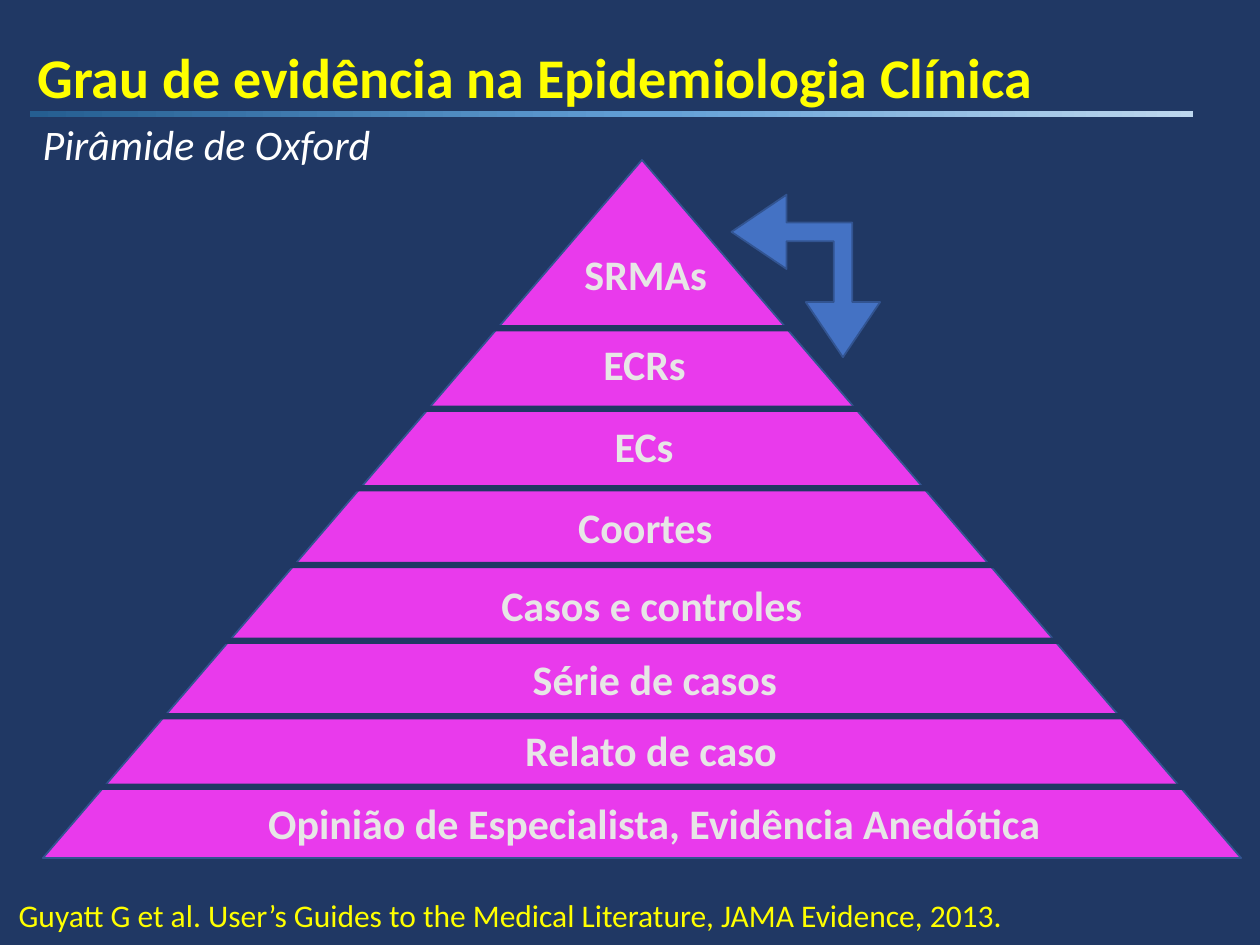
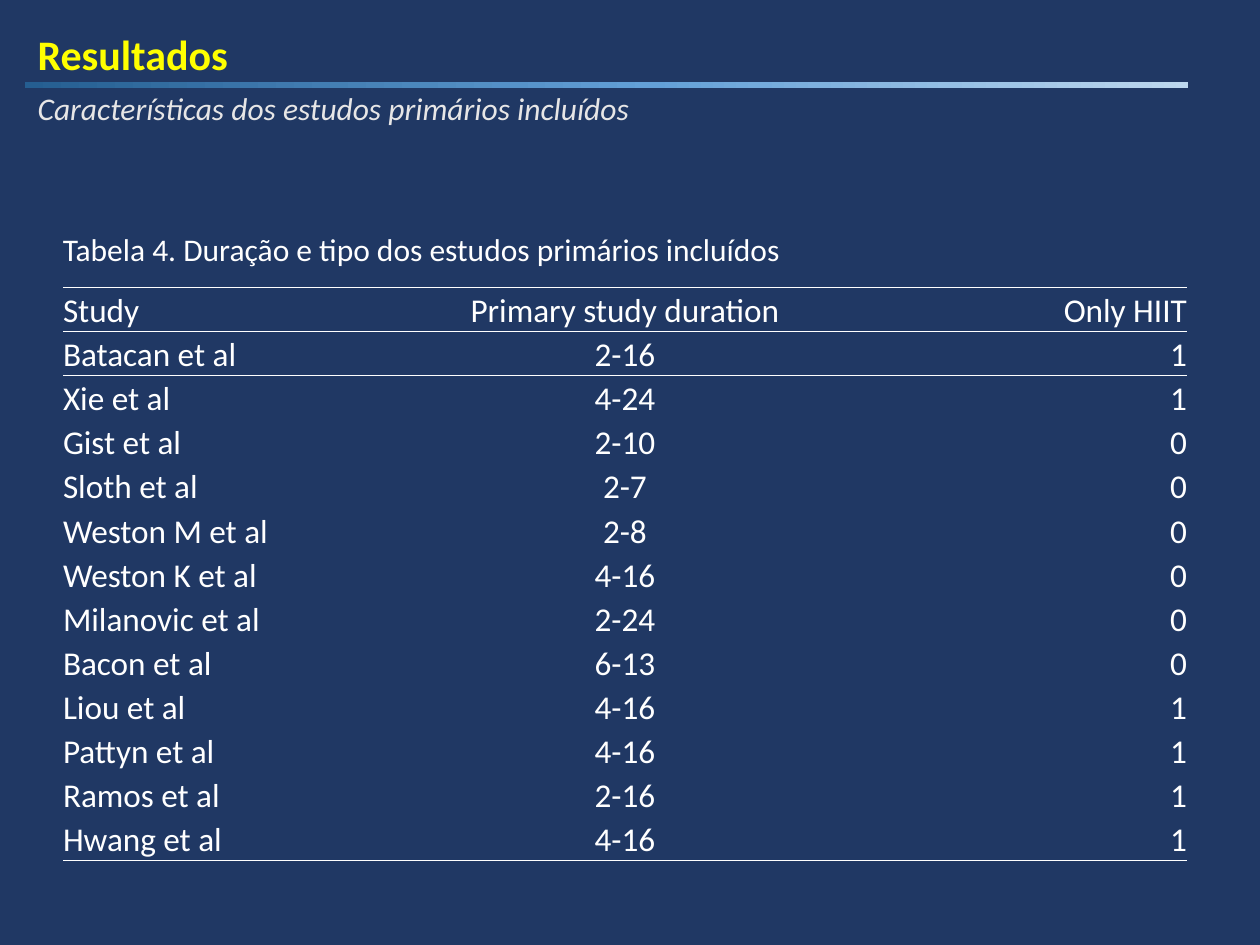
import copy
import dataclasses
import typing

import lxml.etree
import pptx
import pptx.dml.color
import pptx.enum.shapes
import pptx.enum.text
import pptx.oxml.ns
import pptx.shapes.autoshape
import pptx.slide
import pptx.table
import pptx.text.text
import pptx.util

EMU_PER_PX = 9144
SHAPES = pptx.enum.shapes.MSO_SHAPE
ALIGN = pptx.enum.text.PP_ALIGN
NO_TABLE_STYLE = "{2D5ABB26-0587-4C30-8999-92F81FD0307C}"


@dataclasses.dataclass(frozen=True)
class Theme:
    font: str = "Calibri"
    background: str = "203864"
    accent: str = "FFFF00"
    white: str = "FFFFFF"
    soft: str = "E7E6E6"
    pyramid: str = "E93AEC"
    arrow: str = "4472C4"
    outline: str = "325491"
    rule_stops: tuple[tuple[float, str], ...] = (
        (0, "BDD7EE"), (0.46, "63A0D7"), (1, "255E91"))
    title_size: int = 32
    heading_size: int = 24
    table_size: int = 19
    small_size: int = 18


class Box(typing.NamedTuple):
    left: int
    top: int
    width: int
    height: int


@dataclasses.dataclass(frozen=True)
class Level:
    label: str
    left: int
    top: int
    width: int
    wrap: bool = False


class Gap(typing.NamedTuple):
    left: int
    top: int


@dataclasses.dataclass(frozen=True)
class Header:
    title: str
    title_box: Box
    title_size: int
    subtitle: str
    subtitle_box: Box
    subtitle_size: int
    subtitle_color: str
    rule_left: int
    rule_top: int


THEME = Theme()
BAR_HEIGHT = 5
RULE_WIDTH = 923
GAP_WIDTH = 943
LABEL_HEIGHT = 50

PYRAMID_HEADER = Header(
    "Grau de evidência na Epidemiologia Clínica", Box(20, 29, 947, 64), THEME.title_size,
    "Pirâmide de Oxford", Box(24, 89, 284, 50), THEME.heading_size, THEME.white, 24, 88)
RESULTS_HEADER = Header(
    "Resultados", Box(20, 18, 947, 50), THEME.heading_size,
    "Características dos estudos primários incluídos", Box(20, 66, 495, 40),
    THEME.small_size, THEME.soft, 20, 65)

GAPS = [Gap(125, 258), Gap(108, 322), Gap(90, 385), Gap(73, 446),
        Gap(57, 506), Gap(42, 566), Gap(24, 622)]
LEVELS = [
    Level("SRMAs", 454, 192, 118),
    Level("ECRs", 469, 264, 186, wrap=True),
    Level("ECs", 478, 329, 68),
    Level("Coortes", 449, 393, 128),
    Level("Casos e controles", 388, 455, 262),
    Level("Série de casos", 413, 514, 216),
    Level("Relato de caso", 407, 570, 222),
    Level("Opinião de Especialista, Evidência Anedótica", 203, 628, 640),
]

STUDIES = [
    ("Study", "Primary study duration", "Only HIIT"),
    ("Batacan et al", "2-16", "1"),
    ("Xie et al", "4-24", "1"),
    ("Gist et al", "2-10", "0"),
    ("Sloth et al", "2-7", "0"),
    ("Weston M et al", "2-8", "0"),
    ("Weston K et al", "4-16", "0"),
    ("Milanovic et al", "2-24", "0"),
    ("Bacon et al", "6-13", "0"),
    ("Liou et al", "4-16", "1"),
    ("Pattyn et al", "4-16", "1"),
    ("Ramos et al", "2-16", "1"),
    ("Hwang et al", "4-16", "1"),
]
STUDY_COLUMNS = ((244, ALIGN.LEFT), (404, ALIGN.CENTER), (244, ALIGN.RIGHT))
STUDY_ROW_HEIGHT = 35


def px(length: int) -> pptx.util.Emu:
    return pptx.util.Emu(length * EMU_PER_PX)


def place(box: Box) -> list[pptx.util.Emu]:
    return [px(length) for length in box]


def rgb(color: str) -> pptx.dml.color.RGBColor:
    return pptx.dml.color.RGBColor.from_string(color)


def write(frame: pptx.text.text.TextFrame, text: str, *, size: int, color: str,
          bold: bool = False, italic: bool = False,
          align: ALIGN = ALIGN.LEFT) -> None:
    paragraph = frame.paragraphs[0]
    paragraph.alignment = align
    run = paragraph.add_run()
    run.text = text
    run.font.name = THEME.font
    run.font.size = pptx.util.Pt(size)
    run.font.bold = bold
    run.font.italic = italic
    run.font.color.rgb = rgb(color)


def add_text(slide: pptx.slide.Slide, text: str, box: Box, *, wrap: bool = False,
             **text_format: typing.Any) -> None:
    frame = slide.shapes.add_textbox(*place(box)).text_frame
    frame.word_wrap = wrap
    frame.auto_size = pptx.enum.text.MSO_AUTO_SIZE.SHAPE_TO_FIT_TEXT
    write(frame, text, **text_format)


def add_solid(slide: pptx.slide.Slide, kind: SHAPES, box: Box, fill: str,
              outline: str | None = None) -> pptx.shapes.autoshape.Shape:
    solid = slide.shapes.add_shape(kind, *place(box))
    solid.shadow.inherit = False
    solid.fill.solid()
    solid.fill.fore_color.rgb = rgb(fill)
    if outline:
        solid.line.color.rgb = rgb(outline)
        solid.line.width = pptx.util.Pt(1)
    else:
        solid.line.fill.background()
    return solid


def add_rule(slide: pptx.slide.Slide, left: int, top: int) -> None:
    rule = add_solid(slide, SHAPES.RECTANGLE, Box(left, top, RULE_WIDTH, BAR_HEIGHT),
                     THEME.background)
    rule.fill.gradient()
    rule.fill.gradient_angle = 180
    stop_list = rule.element.spPr.find(".//" + pptx.oxml.ns.qn("a:gsLst"))
    stop_list.append(copy.deepcopy(stop_list[-1]))
    for stop, (position, color) in zip(rule.fill.gradient_stops, THEME.rule_stops):
        stop.position = position
        stop.color.rgb = rgb(color)


def add_slide(deck: typing.Any, header: Header) -> pptx.slide.Slide:
    slide = deck.slides.add_slide(deck.slide_layouts[6])
    slide.background.fill.solid()
    slide.background.fill.fore_color.rgb = rgb(THEME.background)
    add_rule(slide, header.rule_left, header.rule_top)
    add_text(slide, header.title, header.title_box, wrap=True,
             size=header.title_size, color=THEME.accent, bold=True)
    add_text(slide, header.subtitle, header.subtitle_box,
             size=header.subtitle_size, color=header.subtitle_color, italic=True)
    return slide


def add_border(cell: pptx.table._Cell, side: str) -> None:
    qn = pptx.oxml.ns.qn
    border = lxml.etree.Element(qn(f"a:ln{side}"), w=str(pptx.util.Pt(1)))
    fill = lxml.etree.SubElement(border, qn("a:solidFill"))
    lxml.etree.SubElement(fill, qn("a:srgbClr"), val=THEME.white)
    cell._tc.get_or_add_tcPr().insert(0, border)


def add_studies(slide: pptx.slide.Slide, left: int, top: int) -> None:
    box = Box(left, top, sum(width for width, _ in STUDY_COLUMNS),
              STUDY_ROW_HEIGHT * len(STUDIES))
    studies = slide.shapes.add_table(len(STUDIES), len(STUDY_COLUMNS), *place(box)).table
    studies.first_row = False
    studies.horz_banding = False
    studies._tbl.tblPr.find(pptx.oxml.ns.qn("a:tableStyleId")).text = NO_TABLE_STYLE
    for column, (width, _) in zip(studies.columns, STUDY_COLUMNS):
        column.width = px(width)
    for row_index, study in enumerate(STUDIES):
        for column_index, (text, (_, align)) in enumerate(zip(study, STUDY_COLUMNS)):
            cell = studies.cell(row_index, column_index)
            cell.margin_left = cell.margin_right = cell.margin_top = cell.margin_bottom = 0
            cell.vertical_anchor = pptx.enum.text.MSO_ANCHOR.BOTTOM
            cell.fill.solid()
            cell.fill.fore_color.rgb = rgb(THEME.background)
            write(cell.text_frame, text, size=THEME.table_size, color=THEME.white, align=align)
            if row_index in (0, len(STUDIES) - 1):
                add_border(cell, "B")
            if row_index in (0, 1):
                add_border(cell, "T")


def build_pyramid(deck: typing.Any) -> None:
    slide = add_slide(deck, PYRAMID_HEADER)
    add_solid(slide, SHAPES.ISOSCELES_TRIANGLE, Box(34, 127, 951, 554),
              THEME.pyramid, THEME.outline)
    for gap in GAPS:
        add_solid(slide, SHAPES.RECTANGLE, Box(*gap, GAP_WIDTH, BAR_HEIGHT), THEME.background)
    for level in LEVELS:
        add_text(slide, level.label, Box(level.left, level.top, level.width, LABEL_HEIGHT),
                 wrap=level.wrap, size=THEME.heading_size, color=THEME.soft, bold=True)
    exchange = add_solid(slide, SHAPES.LEFT_UP_ARROW, Box(575, 160, 129, 118),
                         THEME.arrow, THEME.outline)
    exchange.rotation = 270
    for index, ratio in enumerate((0.125, 0.25, 0.371)):
        exchange.adjustments[index] = ratio
    add_text(slide, "Guyatt G et al. User’s Guides to the Medical Literature, JAMA Evidence, 2013.",
             Box(5, 706, 804, 40), size=THEME.small_size, color=THEME.accent)


def build_results(deck: typing.Any) -> None:
    slide = add_slide(deck, RESULTS_HEADER)
    add_studies(slide, 50, 228)
    add_text(slide, "Tabela 4. Duração e tipo dos estudos primários incluídos",
             Box(40, 178, 596, 40), size=THEME.small_size, color=THEME.white)


def main() -> None:
    deck = pptx.Presentation()
    deck.slide_width = px(1000)
    deck.slide_height = px(750)
    build_pyramid(deck)
    build_results(deck)
    deck.save("out.pptx")


if __name__ == "__main__":
    main()
